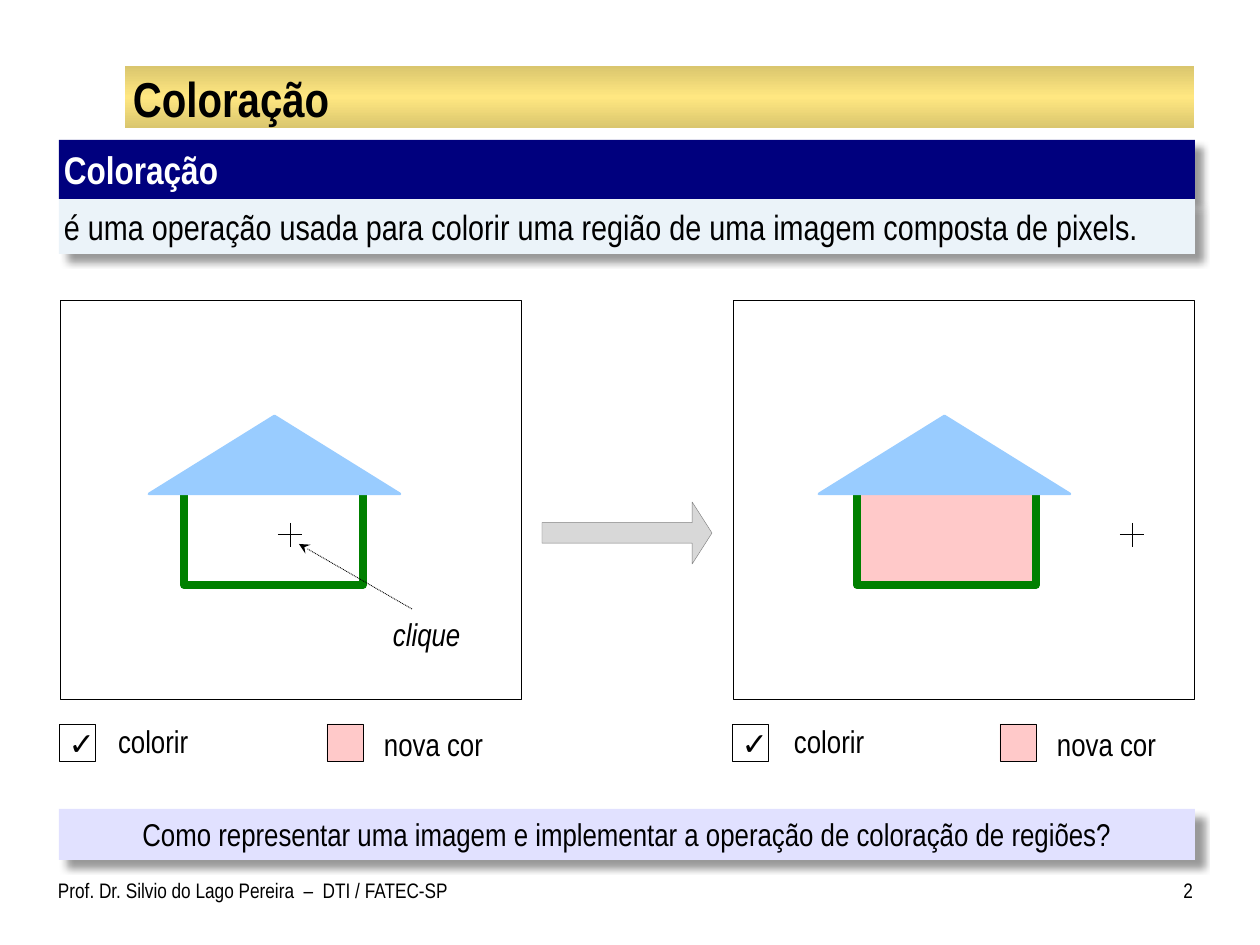
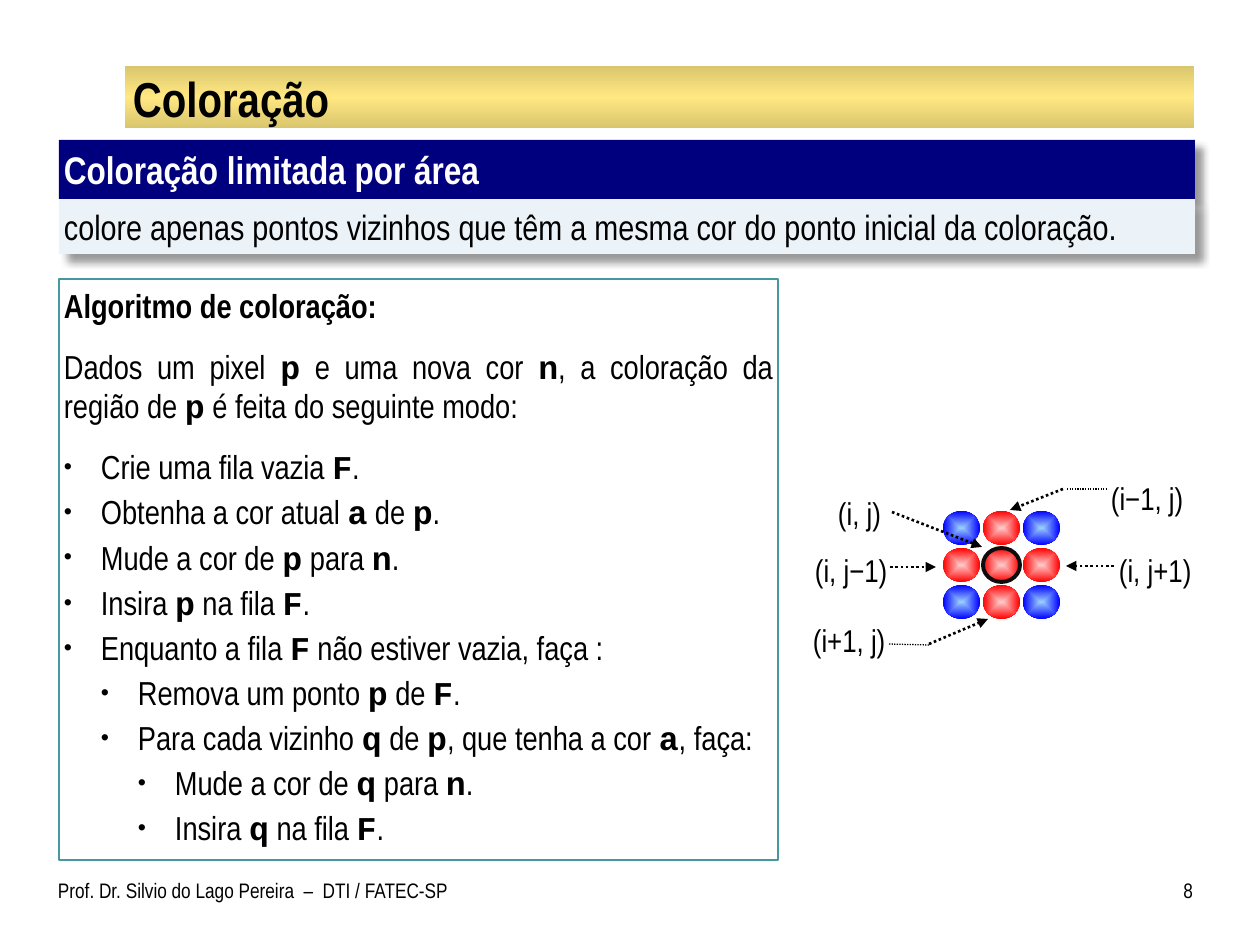
import pptx
import pptx.dml.color
import pptx.enum.dml
import pptx.enum.shapes
import pptx.enum.text
import pptx.oxml
import pptx.oxml.ns
import pptx.util

PX = pptx.util.Inches(1) / 126
FONT, CODE_FONT = "Arial Narrow", "Courier New"
BLACK, WHITE, PINK, SKY = "000000", "FFFFFF", "FFC9C9", "99CCFF"
GOLD = ["DAC66E", "FFE781", "DAC66E"]
LINEAR = '<a:lin ang="5400000" scaled="0"/>'
RADIAL = ('<a:path path="shape"><a:fillToRect l="50000" t="50000" '
          'r="50000" b="50000"/></a:path>')
NS = pptx.oxml.ns.nsdecls("a")
SHAPE = pptx.enum.shapes.MSO_SHAPE
ALIGN = pptx.enum.text.PP_ALIGN
ANCHOR = pptx.enum.text.MSO_ANCHOR
AUTO = pptx.enum.text.MSO_AUTO_SIZE
SYS_DOT = pptx.enum.dml.MSO_LINE.ROUND_DOT
rgb = pptx.dml.color.RGBColor.from_string


def add_box(page, place, fill=None, line=None, weight=0.25, kind=SHAPE.RECTANGLE,
            text="", size=18, color=BLACK, bold=False, align=ALIGN.LEFT,
            inset=(0, 0, 0, 0), wrap=True, shadow=False, shading=LINEAR):
    """Add a shape; a list of colours as fill makes a gradient."""
    box = page.shapes.add_shape(kind, *[round(length * PX) for length in place])
    box.shadow.inherit = False
    properties = box.element.spPr
    if isinstance(fill, list):
        stops = "".join(
            f'<a:gs pos="{100000 * i // (len(fill) - 1)}"><a:srgbClr val="{stop}"/></a:gs>'
            for i, stop in enumerate(fill))
        properties.insert(2, pptx.oxml.parse_xml(
            f'<a:gradFill {NS} rotWithShape="1"><a:gsLst>{stops}</a:gsLst>{shading}</a:gradFill>'))
    elif fill:
        box.fill.solid()
        box.fill.fore_color.rgb = rgb(fill)
    else:
        box.fill.background()
    if line:
        box.line.color.rgb = rgb(line)
        box.line.width = pptx.util.Pt(weight)
    else:
        box.line.fill.background()
    if shadow:
        properties.find(pptx.oxml.ns.qn("a:effectLst")).append(pptx.oxml.parse_xml(
            f'<a:outerShdw {NS} blurRad="50800" dist="76200" dir="2700000" algn="tl" '
            'rotWithShape="0"><a:srgbClr val="000000"><a:alpha val="40000"/>'
            '</a:srgbClr></a:outerShdw>'))
    frame = box.text_frame
    frame.word_wrap = wrap
    frame.vertical_anchor = ANCHOR.TOP
    (frame.margin_left, frame.margin_top,
     frame.margin_right, frame.margin_bottom) = [round(side * PX) for side in inset]
    if text:
        frame.text = text
        para = frame.paragraphs[0]
        para.alignment = align
        font = para.runs[0].font
        font.name, font.size, font.bold = FONT, pptx.util.Pt(size), bold
        font.color.rgb = rgb(color)
    return box


def add_line(page, start, end, weight=0.25, dotted=False, head=None):
    """Add a straight line, with an arrowhead at its end if asked."""
    line = page.shapes.add_connector(
        pptx.enum.shapes.MSO_CONNECTOR.STRAIGHT,
        *[round(length * PX) for length in (*start, *end)])
    line.line.color.rgb = rgb(BLACK)
    line.line.width = pptx.util.Pt(weight)
    if dotted:
        line.line.dash_style = SYS_DOT
    if head:
        line.line._get_or_add_ln().append(
            pptx.oxml.parse_xml(f'<a:tailEnd {NS} type="{head}"/>'))
    line.element.spPr.append(pptx.oxml.parse_xml(f"<a:effectLst {NS}/>"))


deck = pptx.Presentation()
deck.slide_width = round(1260 * PX)
deck.slide_height = round(945 * PX)

# Shared title, definition bands and footer
BAND_INSET = (5, 6, 5, 6)
definitions = [
    (2, "Coloração",
     "é uma operação usada para colorir uma região de uma imagem composta de pixels."),
    (8, "Coloração limitada por área",
     "colore apenas pontos vizinhos que têm a mesma cor do ponto inicial da coloração."),
]
pages = []
for number, term, meaning in definitions:
    page = deck.slides.add_slide(deck.slide_layouts[6])
    pages.append(page)
    add_box(page, (125, 66, 1069, 62), GOLD)
    title = add_box(page, (126, 68, 1067, 59), text="Coloração", size=28, bold=True,
                    inset=(7, 1, 7, 1))
    title.text_frame.vertical_anchor = ANCHOR.MIDDLE
    add_box(page, (58, 872, 412, 53), size=12, inset=(0, 6, 13, 6),
            text="Prof. Dr. Silvio do Lago Pereira  –  DTI / FATEC-SP")
    add_box(page, (1144, 872, 49, 53), text=str(number), size=12, align=ALIGN.RIGHT,
            inset=(13, 6, 0, 6))
    add_box(page, (59, 140, 1136, 59), "00007E", text=term, size=22, color=WHITE,
            bold=True, inset=BAND_INSET, shadow=True)
    add_box(page, (59, 199, 1136, 55), "EBF3F9", text=meaning, size=20,
            align=ALIGN.JUSTIFY, inset=BAND_INSET, shadow=True)
before_after, algorithm = pages

# Slide 1: question band
add_box(before_after, (59, 809, 1136, 51), "E1E1FF", align=ALIGN.CENTER,
        text="Como representar uma imagem e implementar a operação de coloração de regiões?",
        inset=BAND_INSET, shadow=True)

# Slide 1: the house before and after colouring
panels = [(60, 149, 118, 290, WHITE), (733, 819, 794, 1132, PINK)]
for left, roof_left, label_left, cross_x, wall_color in panels:
    add_box(before_after, (left, 300, 461, 399), WHITE, BLACK)
    add_box(before_after, (left + 124, 490, 179, 95), wall_color, "008000", 4.5)
    add_box(before_after, (roof_left, 416, 251, 78), SKY, SKY, 1.5,
            SHAPE.ISOSCELES_TRIANGLE)
    add_box(before_after, (left - 1, 724, 36, 37), WHITE, BLACK, text="✓", bold=True,
            align=ALIGN.RIGHT)
    add_box(before_after, (label_left, 722, 71, 38), WHITE, text="colorir", wrap=False)
    add_box(before_after, (left + 267, 724, 36, 37), PINK, BLACK)
    add_box(before_after, (left + 324, 725, 101, 38), WHITE, text="nova cor", wrap=False)
    add_line(before_after, (cross_x, 523), (cross_x, 547))
    add_line(before_after, (cross_x - 12, 534), (cross_x + 12, 534))

# Slide 1: click pointer and arrow between panels
add_line(before_after, (412, 609), (299, 544), 0.5, True, "stealth")
click = add_box(before_after, (393, 615, 68, 38), text="clique", wrap=False)
click.text_frame.paragraphs[0].runs[0].font.italic = True
arrow = add_box(before_after, (542, 502, 170, 62), "D8D8D8", "7F7F7F",
                kind=SHAPE.RIGHT_ARROW)
arrow.adjustments[0], arrow.adjustments[1] = 0.33, 0.32

# Slide 2: neighbour labels
labels = [("(i, j)", 838, 494, 44), ("(i, j−1)", 815, 551, 76), ("(i+1, j)", 813, 621, 76),
          ("(i−1, j)", 1111, 479, 76), ("(i, j+1)", 1119, 551, 76)]
for label, left, top, width in labels:
    add_box(algorithm, (left, top, width, 39), text=label, wrap=False)

# Slide 2: pixel grid, the centre and its four neighbours in red
for row in range(3):
    for column in range(3):
        centre = row == column == 1
        red = centre or (row + column) % 2 == 1
        add_box(algorithm, (943 + 40 * column, 511 + 37 * row, 37, 34),
                [PINK, "FF0000"] if red else [SKY, "0000FF"],
                "0D0D0D" if centre else None, 2.25, SHAPE.OVAL, shading=RADIAL)

# Slide 2: dotted pointers, thin ones without a head
pointers = [((890, 567), (936, 567)), ((1114, 566), (1066, 566)),
            ((929, 644), (988, 619)), ((1063, 489), (1010, 510)),
            ((892, 512), (982, 547))]
for start, end in pointers:
    add_line(algorithm, start, end, 1.5, True, "triangle")
for start, end in [((1067, 489), (1108, 489)), ((929, 645), (888, 644))]:
    add_line(algorithm, start, end, 0.75, True)

# Slide 2: algorithm steps (level, space before, text with *variables*)
steps = [
    (0, 0, "Algoritmo de coloração:"),
    (0, 12, "Dados um pixel *p* e uma nova cor *n*, a coloração da região de *p* "
            "é feita do seguinte modo:"),
    (1, 12, "Crie uma fila vazia *F*."),
    (1, 3, "Obtenha a cor atual *a* de *p*."),
    (1, 3, "Mude a cor de *p* para *n*."),
    (1, 3, "Insira *p* na fila *F*."),
    (1, 3, "Enquanto a fila *F* não estiver vazia, faça :"),
    (2, 3, "Remova um ponto *p* de *F*."),
    (2, 3, "Para cada vizinho *q* de *p*, que tenha a cor *a*, faça:"),
    (3, 3, "Mude a cor de *q* para *n*."),
    (3, 3, "Insira *q* na fila *F*."),
]
box = add_box(algorithm, (59, 279, 719, 581), line="4597A0", weight=0.75, inset=BAND_INSET)
for index, (level, space, step) in enumerate(steps):
    para = box.text_frame.paragraphs[0] if index == 0 else box.text_frame.add_paragraph()
    para.alignment = ALIGN.JUSTIFY
    para.space_before = pptx.util.Pt(space)
    if level:
        properties = para._p.get_or_add_pPr()
        properties.set("marL", str(round(37 * level * PX)))
        properties.set("indent", str(round(-37 * PX)))
        for bullet in ('buSzPct {} val="70000"', 'buFont {} typeface="Arial"',
                       'buChar {} char="•"'):
            properties.append(pptx.oxml.parse_xml(f"<a:{bullet.format(NS)}/>"))
    for part, words in enumerate(step.split("*")):
        variable = part % 2 == 1
        span = para.add_run()
        span.text = words
        span.font.name = CODE_FONT if variable else FONT
        span.font.size = pptx.util.Pt(19)
        span.font.bold = variable or index == 0
        span.font.color.rgb = rgb(BLACK)

# Boxes with text grow to fit it, except titles and framed check marks
for page in pages:
    for shape in page.shapes:
        if shape.has_text_frame and not shape.text_frame.word_wrap:
            shape.text_frame.auto_size = AUTO.SHAPE_TO_FIT_TEXT

deck.save("out.pptx")
